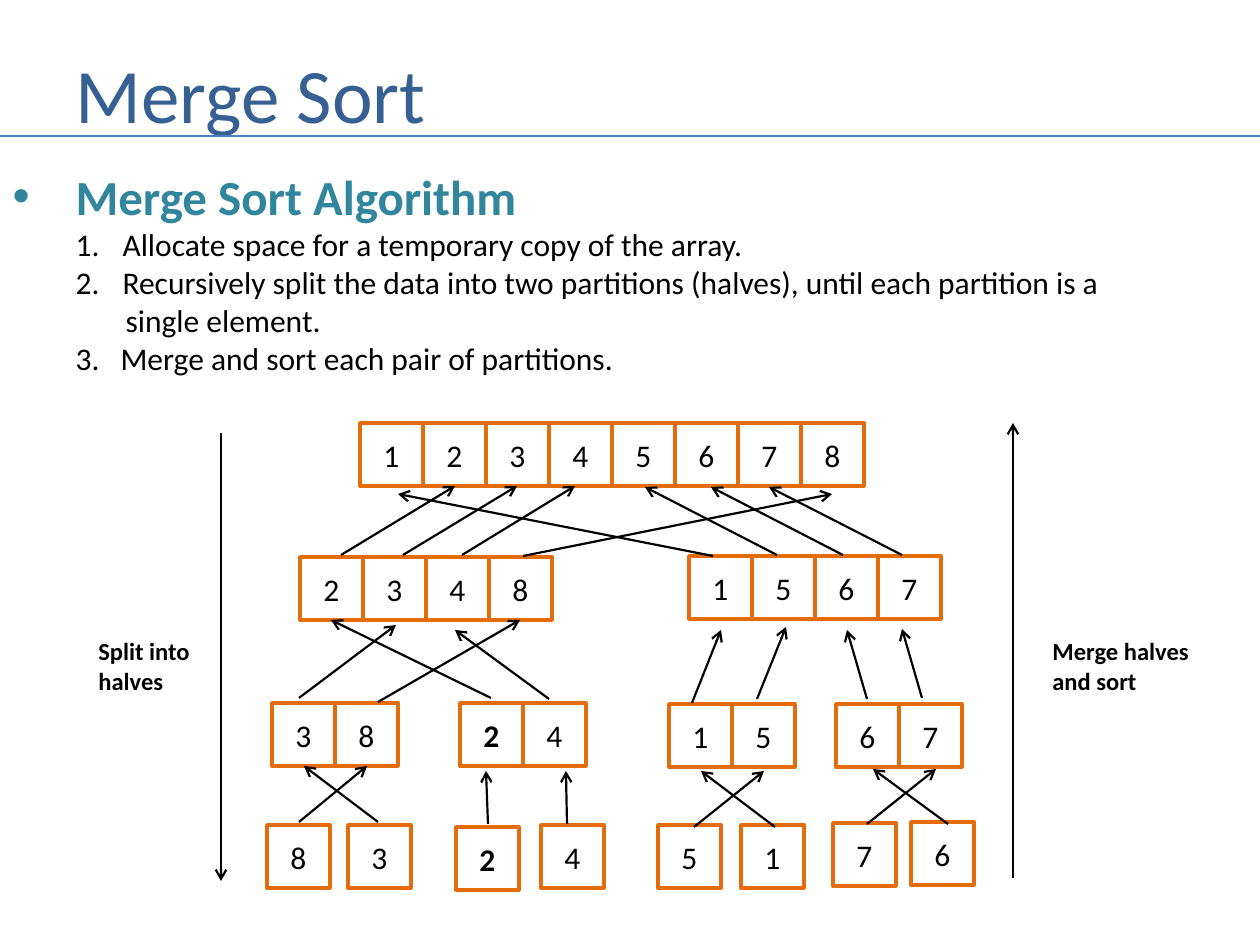
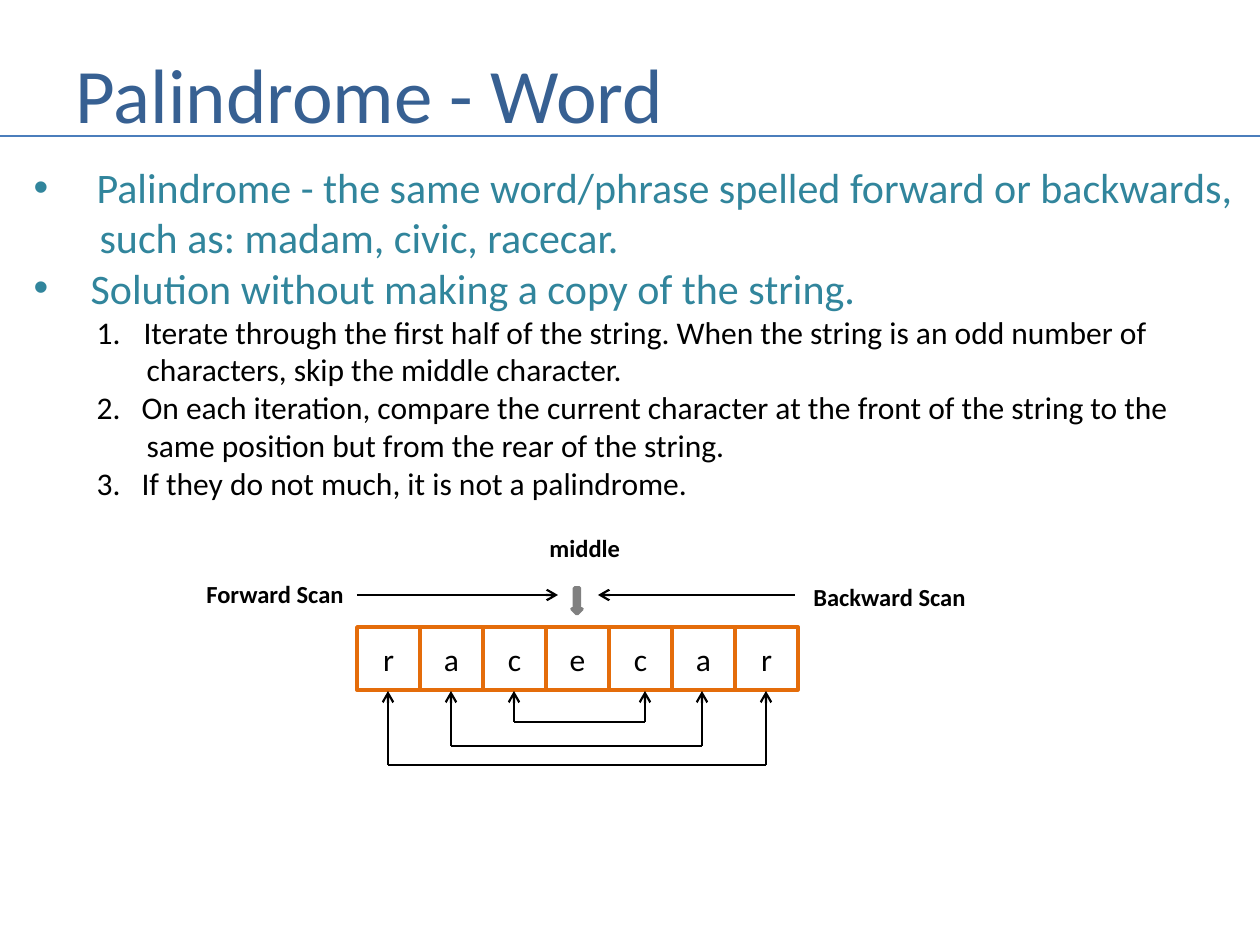
from lxml.etree import SubElement
from pptx import Presentation
from pptx.dml.color import RGBColor
from pptx.enum.shapes import MSO_CONNECTOR, MSO_SHAPE
from pptx.enum.text import MSO_ANCHOR, MSO_AUTO_SIZE, PP_ALIGN
from pptx.oxml.ns import qn
from pptx.util import Emu, Inches, Pt

PX_PER_INCH = 126
CELL = 63  # side of one array cell

NAVY = RGBColor(0x37, 0x60, 0x92)
RULE_BLUE = RGBColor(0x4B, 0x7E, 0xBC)
TEAL = RGBColor(0x31, 0x85, 0x9C)
ORANGE = RGBColor(0xE4, 0x6C, 0x0A)
GREY = RGBColor(0x80, 0x80, 0x80)
BLACK = RGBColor(0, 0, 0)
WHITE = RGBColor(0xFF, 0xFF, 0xFF)

TITLE_FONT = {"size": Pt(44), "name": "Calibri", "bold": False}
CELL_FONT = {"size": Pt(18), "name": "Calibri", "bold": False}
LABEL_FONT = {"size": Pt(14), "name": "Calibri", "bold": True}

# List line styles: level, text indent, hang, bullet, size, colour, bold
HEADING = (0, 63, 63, "•", 28, TEAL, True)
POINT = (0, 63, 63, "•", 24, TEAL, False)
POINT_TIGHT = (0, 57, 57, "•", 24, TEAL, False)
POINT_MORE = (0, 66, 0, None, 24, TEAL, False)
STEP = (1, 110, 47, "number", 18, BLACK, False)
STEP_TIGHT = (1, 108, 45, "number", 18, BLACK, False)
STEP_MORE = (1, 113, 0, None, 18, BLACK, False)

MERGE_STEPS = [
    (HEADING, "Merge Sort Algorithm"),
    (STEP, "Allocate space for a temporary copy of the array."),
    (STEP, "Recursively split the data into two partitions (halves), until each partition is a"),
    (STEP_MORE, "single element."),
    (STEP_TIGHT, "Merge and sort each pair of partitions."),
]
PALINDROME_STEPS = [
    (POINT, "Palindrome - the same word/phrase spelled forward or backwards,"),
    (POINT_MORE, "such as: madam, civic, racecar."),
    (POINT_TIGHT, "Solution without making a copy of the string."),
    (STEP, "Iterate through the first half of the string. When the string is an odd number of"),
    (STEP_MORE, "characters, skip the middle character."),
    (STEP_TIGHT, "On each iteration, compare the current character at the front of the string to the"),
    (STEP_MORE, "same position but from the rear of the string."),
    (STEP_TIGHT, "If they do not much, it is not a palindrome."),
]

# Arrays of the merge tree: left, top, values, index of the bold value
TREE_ARRAYS = [
    (100, 3, "12345678", None),
    (40, 137, "2348", None), (429, 136, "1567", None),
    (12, 283, "38", None), (200, 283, "24", 0),
    (409, 284, "15", None), (576, 284, "67", None),
    (7, 405, "8", None), (88, 405, "3", None),
    (196, 407, "2", 0), (281, 405, "4", None),
    (398, 405, "5", None), (481, 405, "1", None),
    (573, 403, "7", None), (651, 402, "6", None),
]
# Arrows of the merge tree: start height, tip height, (start x, tip x) pairs
TREE_ARROWS = [
    (402, 346, [(39, 107), (118, 44)]),
    (404, 349, [(607, 676), (688, 613)]),
    (407, 351, [(434, 504), (515, 441)]),
    (404, 351, [(228, 226), (307, 306)]),
    (278, 205, [(39, 136)]),
    (282, 200, [(118, 260)]),
    (278, 200, [(231, 71)]),
    (279, 210, [(289, 195), (607, 587)]),
    (283, 210, [(432, 461)]),
    (279, 207, [(497, 526)]),
    (278, 209, [(662, 642)]),
    (136, 74, [(453, 138), (263, 572)]),
    (135, 66, [(81, 195), (143, 257), (202, 315)]),
    (135, 67, [(517, 385), (583, 451), (642, 509)]),
]


def px(length):
    return Emu(round(length * Inches(1) / PX_PER_INCH))


def set_format(target, values):
    for name, value in values.items():
        setattr(target, name, value)


def add_span(para, text, font, color):
    span = para.add_run()
    span.text = text
    set_format(span.font, font)
    span.font.color.rgb = color


def place(shape, left, top, width, height):
    set_format(shape, {"left": px(left), "top": px(top),
                       "width": px(width), "height": px(height)})


def add_line(page, start, end, arrow=False, color=BLACK, weight=1.25):
    line = page.shapes.add_connector(
        MSO_CONNECTOR.STRAIGHT, *(px(value) for value in (*start, *end)))
    line.line.color.rgb = color
    line.line.width = Pt(weight)
    if arrow:
        SubElement(line.line._get_or_add_ln(), qn("a:tailEnd"), type="arrow")
    SubElement(line._element.spPr, qn("a:effectLst"))


def add_preset(page, kind, box, fill, outline):
    shape = page.shapes.add_shape(kind, *(px(value) for value in box))
    shape.shadow.inherit = False
    shape.fill.solid()
    shape.fill.fore_color.rgb = fill
    shape.line.color.rgb = outline
    shape.line.width = Pt(2)
    return shape


def add_array(page, left, top, values, bold_index=None):
    for index, value in enumerate(values):
        box = (left + index * CELL, top, CELL, CELL)
        cell = add_preset(page, MSO_SHAPE.RECTANGLE, box, WHITE, ORANGE)
        cell.text_frame.vertical_anchor = MSO_ANCHOR.MIDDLE
        para = cell.text_frame.paragraphs[0]
        para.alignment = PP_ALIGN.CENTER
        add_span(para, value, {**CELL_FONT, "bold": index == bold_index}, BLACK)


def add_label(page, box, *lines):
    frame = page.shapes.add_textbox(*(px(value) for value in box)).text_frame
    frame.word_wrap = False
    for index, text in enumerate(lines):
        para = frame.add_paragraph() if index else frame.paragraphs[0]
        add_span(para, text, LABEL_FONT, BLACK)


def set_bullet(para, indent, hang, bullet, number):
    props = para._p.get_or_add_pPr()
    props.set("marL", str(px(indent)))
    props.set("indent", str(-px(hang)))
    if bullet is None:
        SubElement(props, qn("a:buNone"))
    elif bullet == "number":
        SubElement(props, qn("a:buFont"), typeface="+mj-lt")
        SubElement(props, qn("a:buAutoNum"), type="arabicPeriod", startAt=str(number))
    else:
        SubElement(props, qn("a:buFont"), typeface="Arial")
        SubElement(props, qn("a:buChar"), char=bullet)


def fill_list(body, box, lines):
    place(body, *box)
    frame = body.text_frame
    set_format(frame, {"word_wrap": True, "auto_size": MSO_AUTO_SIZE.NONE,
                       "vertical_anchor": MSO_ANCHOR.TOP})
    number = 0
    for index, (style, text) in enumerate(lines):
        level, indent, hang, bullet, size, color, bold = style
        number += bullet == "number"
        para = frame.add_paragraph() if index else frame.paragraphs[0]
        set_bullet(para, indent, hang, bullet, number)
        set_format(para, {"level": level, "space_before": Pt(0)})
        add_span(para, text, {"size": Pt(size), "name": "Calibri", "bold": bold}, color)


def add_page(deck, title, list_box, lines):
    """Title, rule and list shared by every slide."""
    page = deck.slides.add_slide(deck.slide_layouts[1])
    heading = page.shapes.title
    place(heading, 63, 38, 1144, 110)
    set_format(heading.text_frame, {"vertical_anchor": MSO_ANCHOR.MIDDLE,
                                    "auto_size": MSO_AUTO_SIZE.NONE})
    para = heading.text_frame.paragraphs[0]
    para.alignment = PP_ALIGN.LEFT
    add_span(para, title, TITLE_FONT, NAVY)
    add_line(page, (0, 136), (1260, 136), color=RULE_BLUE, weight=1.5)
    fill_list(page.placeholders[1], list_box, lines)
    return page


def draw_merge_tree(page, left, top):
    for x, y, values, bold_index in TREE_ARRAYS:
        add_array(page, left + x, top + y, values, bold_index)
    for start_y, tip_y, pairs in TREE_ARROWS:
        for start_x, tip_x in pairs:
            add_line(page, (left + start_x, top + start_y),
                     (left + tip_x, top + tip_y), arrow=True)


def draw_directions(page, left, top):
    # Splitting runs down, merging runs up
    add_line(page, (left + 135, top + 13), (left + 135, top + 461), arrow=True)
    add_label(page, (left, top + 210, 123, 72), "Split into", "halves")
    add_line(page, (left + 927, top + 458), (left + 927, top + 3), arrow=True)
    add_label(page, (left + 954, top + 210, 163, 72), "Merge halves", "and sort")


def draw_scan(page, left, top):
    add_array(page, left + 167, top + 107, "racecar")
    # Scan directions and the middle marker
    add_label(page, (left + 4, top + 53, 164, 43), "Forward Scan")
    add_label(page, (left + 611, top + 56, 179, 43), "Backward Scan")
    add_label(page, (left + 347, top + 7, 97, 43), "middle")
    for start_x, tip_x in [(167, 368), (605, 408)]:
        add_line(page, (left + start_x, top + 75), (left + tip_x, top + 75), arrow=True)
    marker_box = (left + 382, top + 68, 10, 26)
    add_preset(page, MSO_SHAPE.DOWN_ARROW, marker_box, GREY, GREY)
    # Brackets joining the compared letters
    for first, last, base in [(324, 455, 202), (261, 512, 226), (198, 576, 245)]:
        add_line(page, (left + first, top + base), (left + last, top + base))
        for x in (first, last):
            add_line(page, (left + x, top + base), (left + x, top + 171), arrow=True)


def main():
    deck = Presentation()
    deck.slide_width, deck.slide_height = Inches(10), Inches(7.5)

    merge_page = add_page(deck, "Merge Sort", (0, 160, 1133, 224), MERGE_STEPS)
    draw_merge_tree(merge_page, 260, 420)
    draw_directions(merge_page, 86, 420)

    palindrome_page = add_page(deck, "Palindrome - Word", (21, 155, 1238, 357),
                               PALINDROME_STEPS)
    draw_scan(palindrome_page, 190, 520)

    deck.save("out.pptx")


if __name__ == "__main__":
    main()
